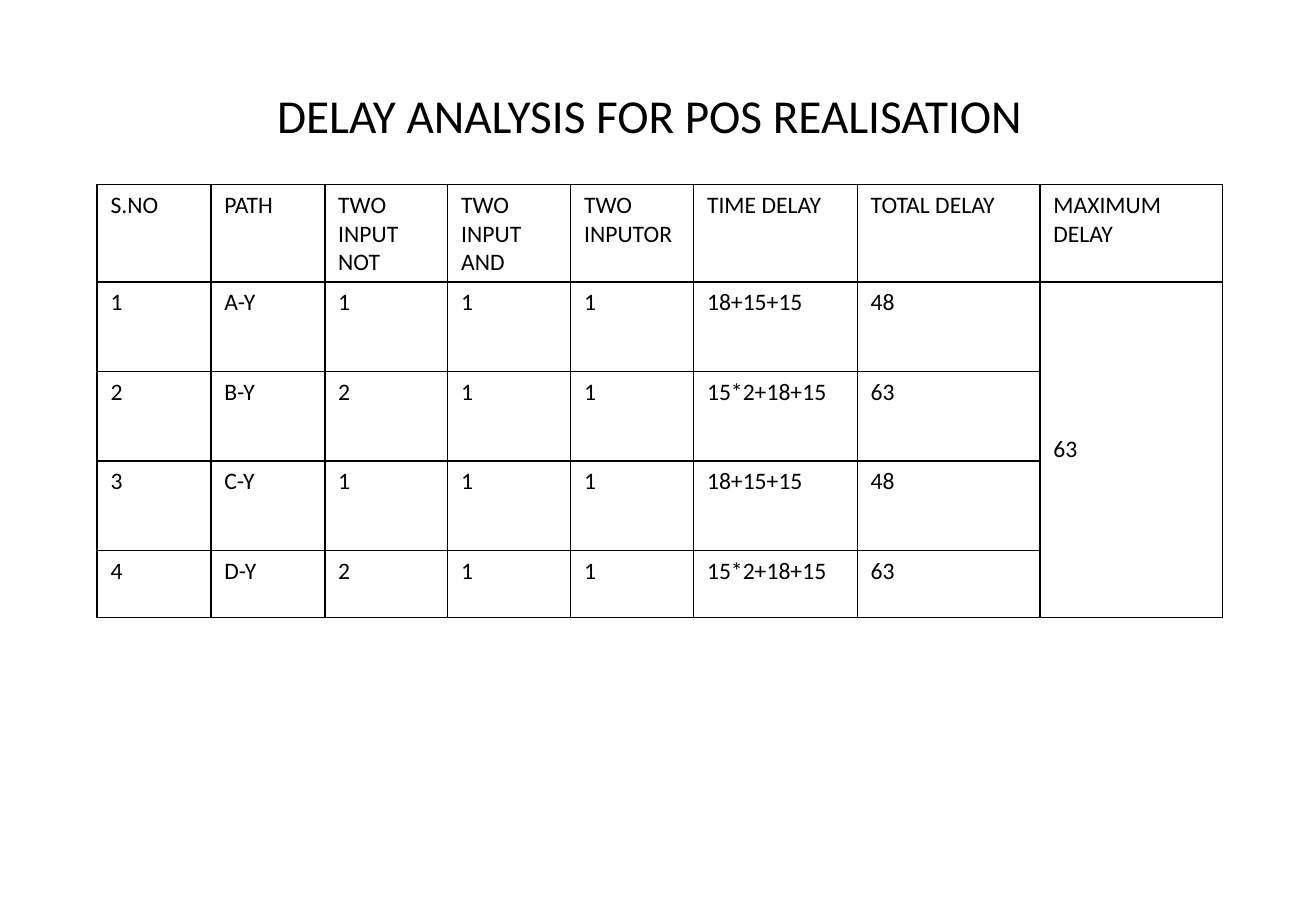
import pptx
import pptx.util
import pptx.dml.color
import pptx.enum.text
import pptx.oxml
import pptx.oxml.ns
from pptx.util import Cm

theme = {
    "font": "Calibri",
    "ink": pptx.dml.color.RGBColor(0, 0, 0),
    "paper": pptx.dml.color.RGBColor(255, 255, 255),
    "title": pptx.util.Pt(28),
    "body": pptx.util.Pt(14),
    "rule": pptx.util.Pt(1),
}
middle = pptx.enum.text.MSO_ANCHOR.MIDDLE


def style(para, size):
    para.font.name = theme["font"]
    para.font.size = size
    para.font.color.rgb = theme["ink"]


def border(cell):
    props = cell._tc.get_or_add_tcPr()
    for i, side in enumerate(("lnL", "lnR", "lnT", "lnB")):
        line = pptx.oxml.parse_xml(
            f'<a:{side} {pptx.oxml.ns.nsdecls("a")} w="{theme["rule"]}">'
            f'<a:solidFill><a:srgbClr val="{theme["ink"]}"/></a:solidFill>'
            f'</a:{side}>'
        )
        props.insert(i, line)


deck = pptx.Presentation()
deck.slide_width = Cm(27.51)
deck.slide_height = Cm(19.05)
slide = deck.slides.add_slide(deck.slide_layouts[6])

title = slide.shapes.add_textbox(Cm(-0.05), Cm(1.73), Cm(27.25), Cm(1.35))
frame = title.text_frame
frame.word_wrap = True
frame.vertical_anchor = middle
frame.text = "DELAY ANALYSIS FOR POS REALISATION"
frame.paragraphs[0].alignment = pptx.enum.text.PP_ALIGN.CENTER
style(frame.paragraphs[0], theme["title"])

rows = [
    ["S.NO", "PATH", "TWO INPUT NOT", "TWO INPUT AND", "TWO INPUTOR",
     "TIME DELAY", "TOTAL DELAY", "MAXIMUM DELAY"],
    ["1", "A-Y", "1", "1", "1", "18+15+15", "48", "63"],
    ["2", "B-Y", "2", "1", "1", "15*2+18+15", "63", ""],
    ["3", "C-Y", "1", "1", "1", "18+15+15", "48", ""],
    ["4", "D-Y", "2", "1", "1", "15*2+18+15", "63", ""],
]
widths = [2.38, 2.38, 2.57, 2.57, 2.57, 3.42, 3.82, 3.82]
heights = [1.87, 1.87, 1.87, 1.87, 1.4]

table = slide.shapes.add_table(
    len(rows), len(widths), Cm(2.03), Cm(3.86),
    Cm(sum(widths)), Cm(sum(heights))
).table
table.first_row = False
table.horz_banding = False
for col, width in zip(table.columns, widths):
    col.width = Cm(width)
for row, height in zip(table.rows, heights):
    row.height = Cm(height)

for r, row in enumerate(rows):
    for c, text in enumerate(row):
        cell = table.cell(r, c)
        cell.text = text
        cell.margin_left = cell.margin_right = Cm(0.28)
        cell.margin_top = cell.margin_bottom = Cm(0.13)
        cell.fill.solid()
        cell.fill.fore_color.rgb = theme["paper"]
        border(cell)
        style(cell.text_frame.paragraphs[0], theme["body"])

delay = table.cell(1, 7)
delay.merge(table.cell(4, 7))
delay.vertical_anchor = middle

deck.save("out.pptx")
